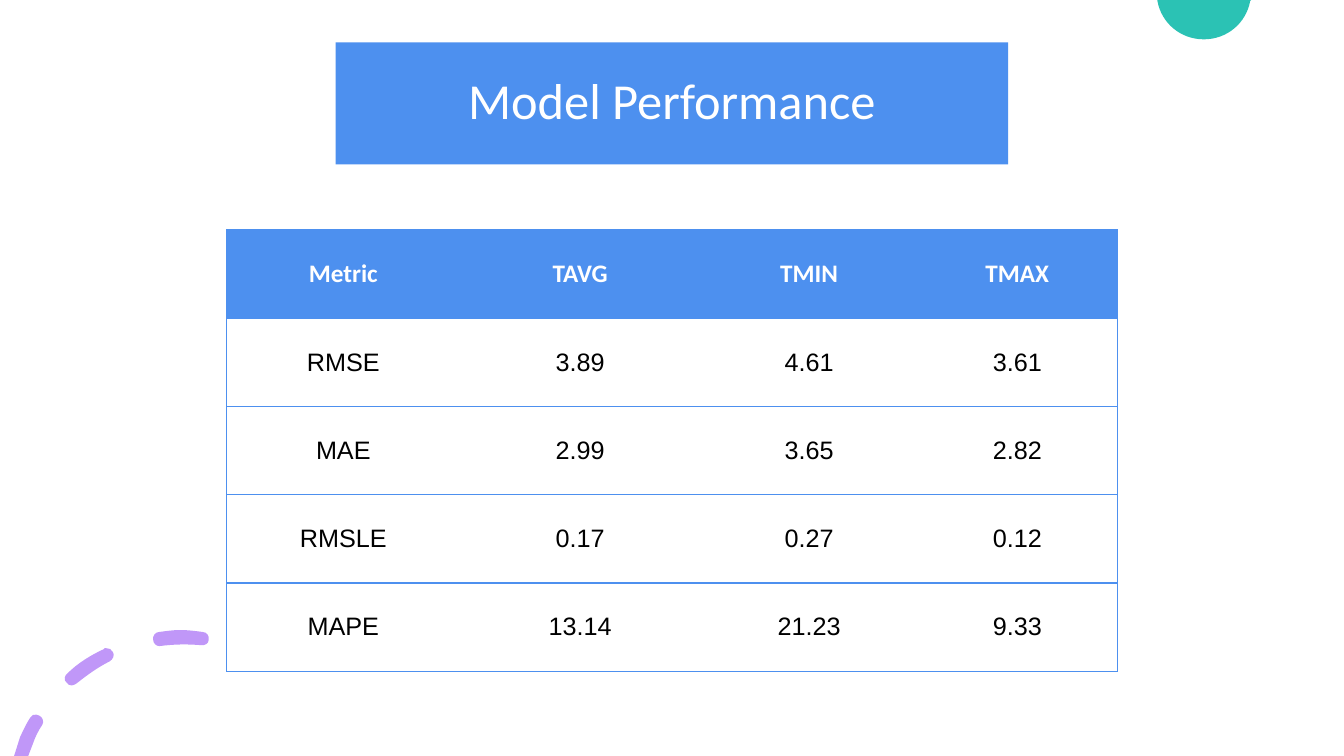
from dataclasses import dataclass
from lxml.etree import SubElement
from pptx import Presentation
from pptx.dml.color import RGBColor
from pptx.enum.shapes import MSO_SHAPE
from pptx.enum.text import MSO_ANCHOR, PP_ALIGN
from pptx.oxml.ns import qn
from pptx.util import Inches, Pt

TITLE = "Model Performance"
ROWS = [
    ("Metric", "TAVG", "TMIN", "TMAX"),
    ("RMSE", "3.89", "4.61", "3.61"),
    ("MAE", "2.99", "3.65", "2.82"),
    ("RMSLE", "0.17", "0.27", "0.12"),
    ("MAPE", "13.14", "21.23", "9.33"),
]
COLS = (2.31, 2.39, 2.15, 1.98)
TALL = 4.38

# Each outline: a start point, then lines (2 numbers) and Bezier curves (6 numbers).
DASHES = [
    [(0.36, 7.09), (0.34, 7.08, 0.31, 7.1, 0.3, 7.12),
     (0.26, 7.18, 0.23, 7.25, 0.2, 7.31), (0.14, 7.5), (0.28, 7.5), (0.33, 7.37),
     (0.35, 7.31, 0.38, 7.25, 0.42, 7.19), (0.44, 7.16, 0.42, 7.11, 0.39, 7.1),
     (0.38, 7.09, 0.37, 7.09, 0.36, 7.09)],
    [(1.05, 6.43), (1.04, 6.43, 1.03, 6.43, 1.03, 6.44),
     (0.9, 6.5, 0.77, 6.58, 0.67, 6.68), (0.64, 6.7, 0.63, 6.75, 0.66, 6.77),
     (0.67, 6.79, 0.69, 6.8, 0.71, 6.8), (0.73, 6.8, 0.74, 6.79, 0.76, 6.78),
     (0.86, 6.7, 0.97, 6.62, 1.09, 6.56), (1.12, 6.54, 1.14, 6.5, 1.12, 6.47),
     (1.11, 6.44, 1.08, 6.43, 1.05, 6.43)],
    [(1.79, 6.25), (1.72, 6.25, 1.65, 6.26, 1.58, 6.27),
     (1.54, 6.27, 1.51, 6.31, 1.52, 6.35), (1.52, 6.38, 1.55, 6.41, 1.58, 6.41),
     (1.73, 6.39, 1.86, 6.39, 1.99, 6.4), (2.03, 6.41, 2.07, 6.38, 2.07, 6.35),
     (2.08, 6.31, 2.05, 6.27, 2.01, 6.27), (1.94, 6.26, 1.86, 6.25, 1.79, 6.25)],
]
DISC = [
    [(11.48, 0), (12.41, 0), (12.4, 0.01), (12.36, 0.23, 12.17, 0.39, 11.94, 0.39),
     (11.71, 0.39, 11.52, 0.23, 11.48, 0.01)],
]


@dataclass(frozen=True)
class Theme:
    blue: str = "4D90EF"
    teal: str = "2BC2B4"
    lilac: str = "C097F8"
    white: str = "FFFFFF"
    black: str = "000000"
    head: str = "Calibri"
    body: str = "Arial"
    title: int = 36
    cell: int = 18
    rule: int = 1


LOOK = Theme()


def write(frame, text, *, size, font, color, bold=False, spacing=None):
    para = frame.paragraphs[0]
    para.alignment = PP_ALIGN.CENTER
    para.line_spacing = spacing
    run = para.add_run()
    run.text = text
    run.font.size = Pt(size)
    run.font.name = font
    run.font.bold = bold
    run.font.color.rgb = RGBColor.from_string(color)


def paint(shape, color):
    shape.shadow.inherit = False
    shape.fill.solid()
    shape.fill.fore_color.rgb = RGBColor.from_string(color)
    shape.line.fill.background()


def spots(outline):
    """List every point of an outline, control points included, in EMU."""
    return [(Inches(part[i]), Inches(part[i + 1]))
            for part in outline for i in range(0, len(part), 2)]


def bend(shape, outlines):
    """Join each three line steps that stand for a curve into one Bezier."""
    steps = iter(list(shape._element.iter(qn("a:lnTo"))))
    for outline in outlines:
        for part in outline[1:]:
            step = next(steps)
            if len(part) == 6:
                step.tag = qn("a:cubicBezTo")
                for other in (next(steps), next(steps)):
                    step.append(other[0])
                    other.getparent().remove(other)


def draw(slide, outlines, color):
    form = None
    for outline in outlines:
        start, *rest = spots(outline)
        if form is None:
            form = slide.shapes.build_freeform(*start)
        else:
            form.move_to(*start)
        form.add_line_segments(rest, close=True)
    shape = form.convert_to_shape()
    bend(shape, outlines)
    paint(shape, color)


def edge(cell, sides):
    """Rule the given sides of a cell and clear the others."""
    props = cell._tc.get_or_add_tcPr()
    for side in "LRTB":
        line = SubElement(props, qn("a:ln" + side), w=str(Pt(LOOK.rule)))
        if side in sides:
            fill = SubElement(line, qn("a:solidFill"))
            SubElement(fill, qn("a:srgbClr"), val=LOOK.blue)
        else:
            SubElement(line, qn("a:noFill"))


def add_scores(slide):
    table = slide.shapes.add_table(
        len(ROWS), len(COLS), Inches(2.25), Inches(2.28),
        Inches(sum(COLS)), Inches(TALL)).table
    table.horz_banding = False
    for col, width in zip(table.columns, COLS):
        col.width = Inches(width)
    for r, row in enumerate(ROWS):
        table.rows[r].height = Inches(TALL / len(ROWS))
        top = r == 0
        for c, text in enumerate(row):
            cell = table.cell(r, c)
            cell.vertical_anchor = MSO_ANCHOR.MIDDLE
            edge(cell, "TB" + "L" * (c == 0) + "R" * (c == len(COLS) - 1))
            if top:
                cell.fill.solid()
                cell.fill.fore_color.rgb = RGBColor.from_string(LOOK.blue)
            else:
                cell.fill.background()
            write(cell.text_frame, text, size=LOOK.cell, bold=top,
                  font=LOOK.head if top else LOOK.body,
                  color=LOOK.white if top else LOOK.black)


def add_title(slide):
    box = slide.shapes.add_shape(MSO_SHAPE.RECTANGLE, Inches(3.33), Inches(0.42),
                                 Inches(6.67), Inches(1.21))
    paint(box, LOOK.blue)
    box.text_frame.word_wrap = True
    box.text_frame.vertical_anchor = MSO_ANCHOR.MIDDLE
    write(box.text_frame, TITLE, size=LOOK.title, font=LOOK.head,
          color=LOOK.white, spacing=0.9)


def main():
    deck = Presentation()
    deck.slide_width, deck.slide_height = Inches(13.33), Inches(7.5)
    slide = deck.slides.add_slide(deck.slide_layouts[6])
    draw(slide, DASHES, LOOK.lilac)
    draw(slide, DISC, LOOK.teal)
    add_scores(slide)
    add_title(slide)
    deck.save("out.pptx")


if __name__ == "__main__":
    main()
